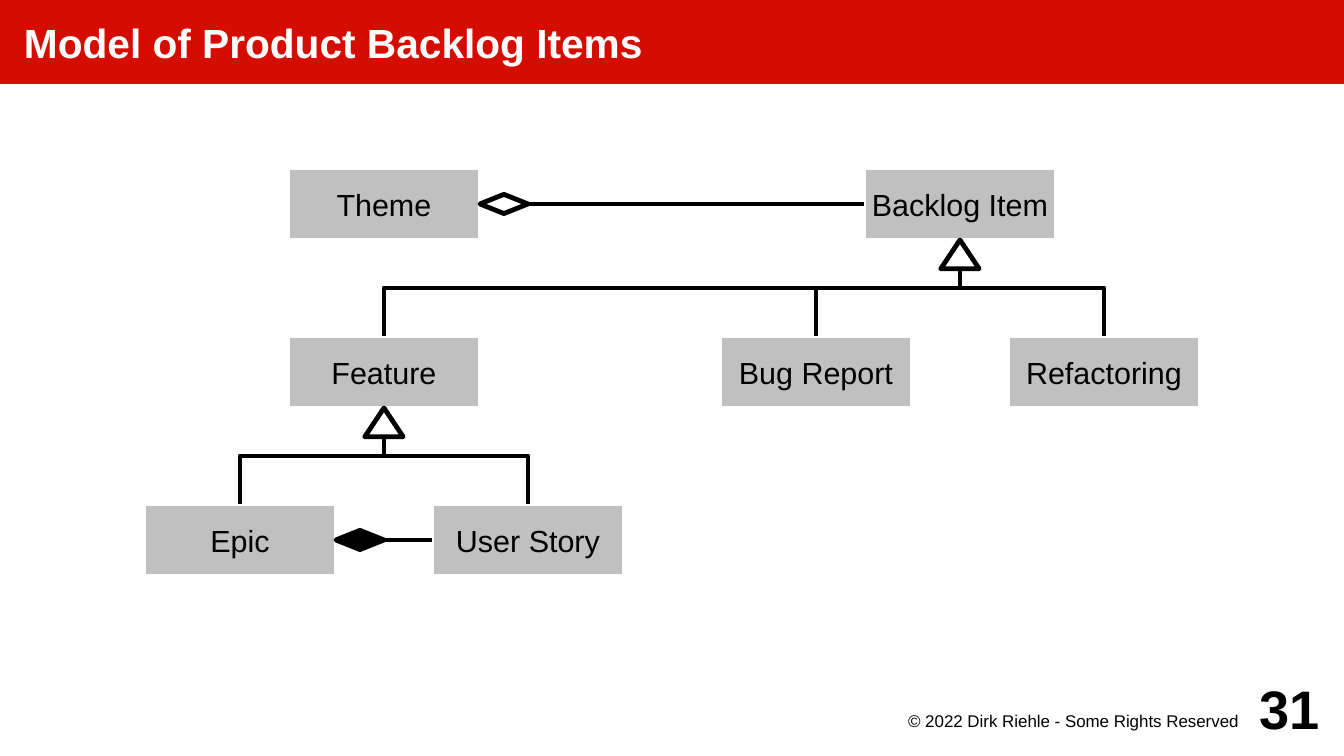
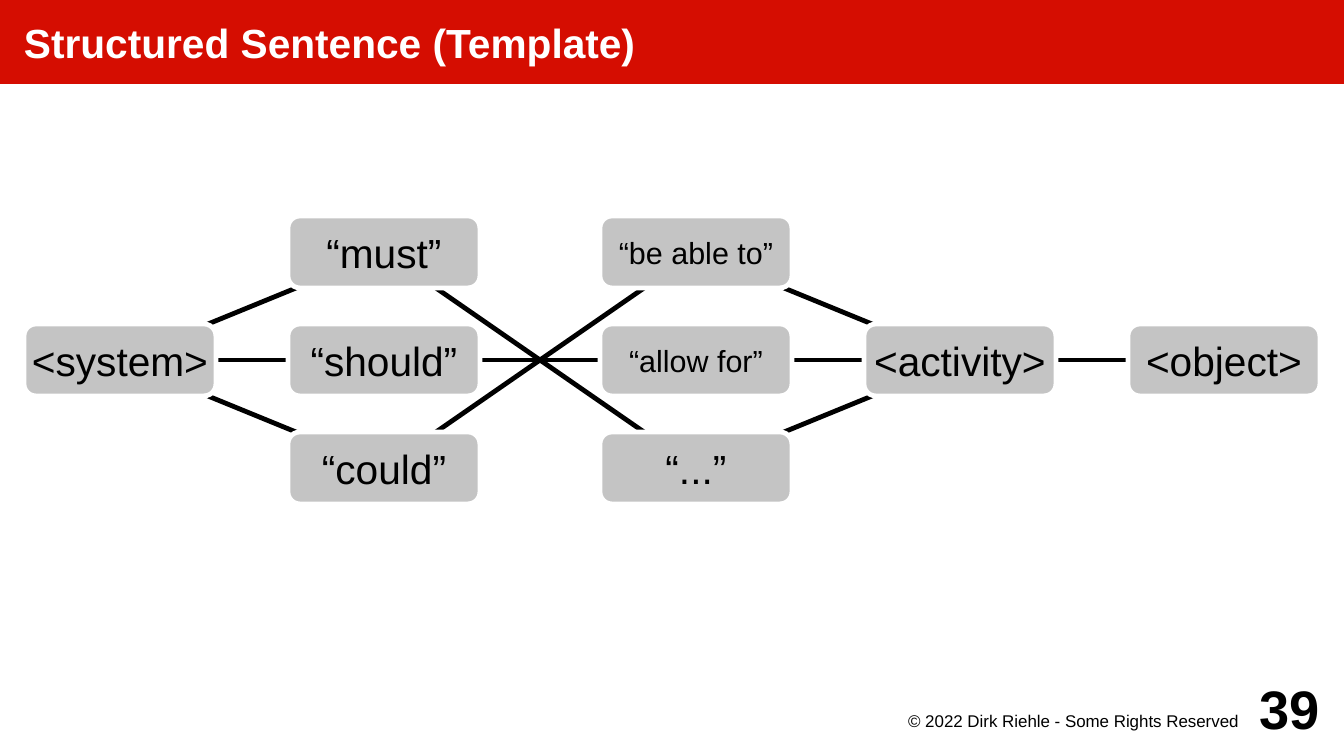
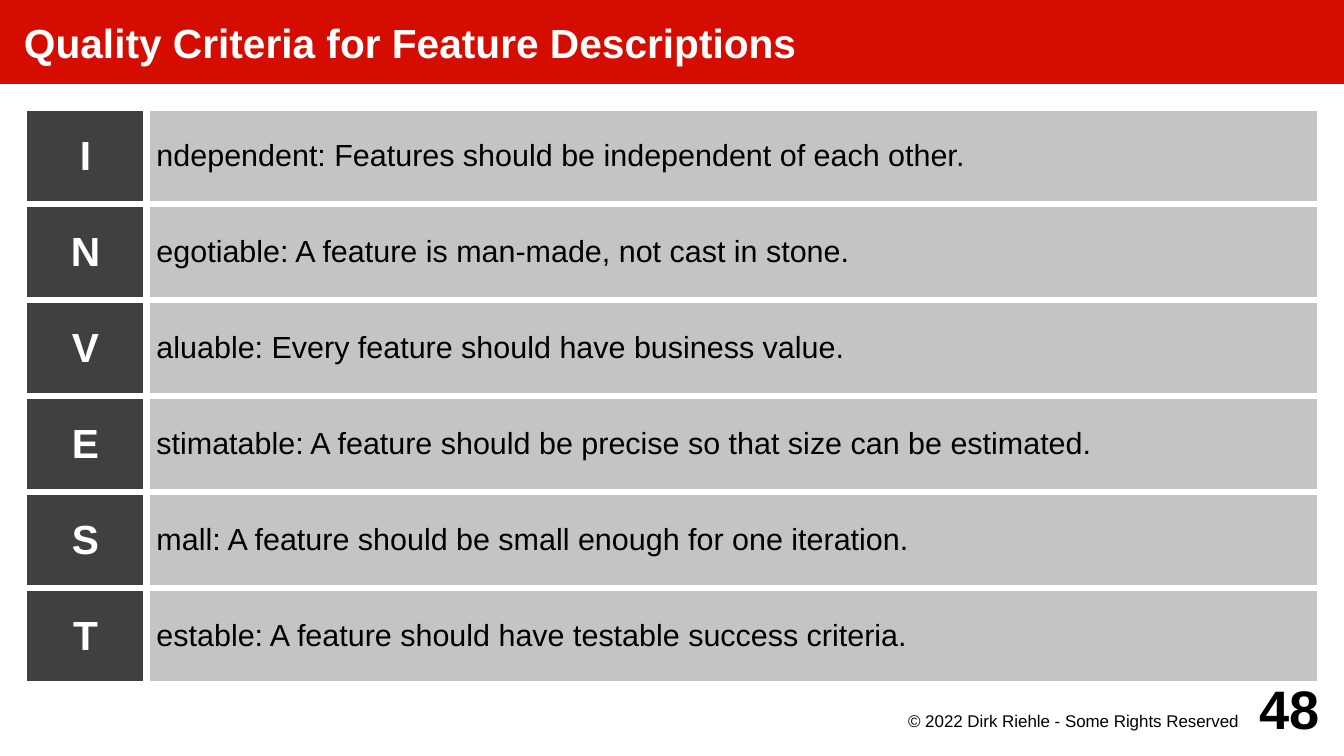
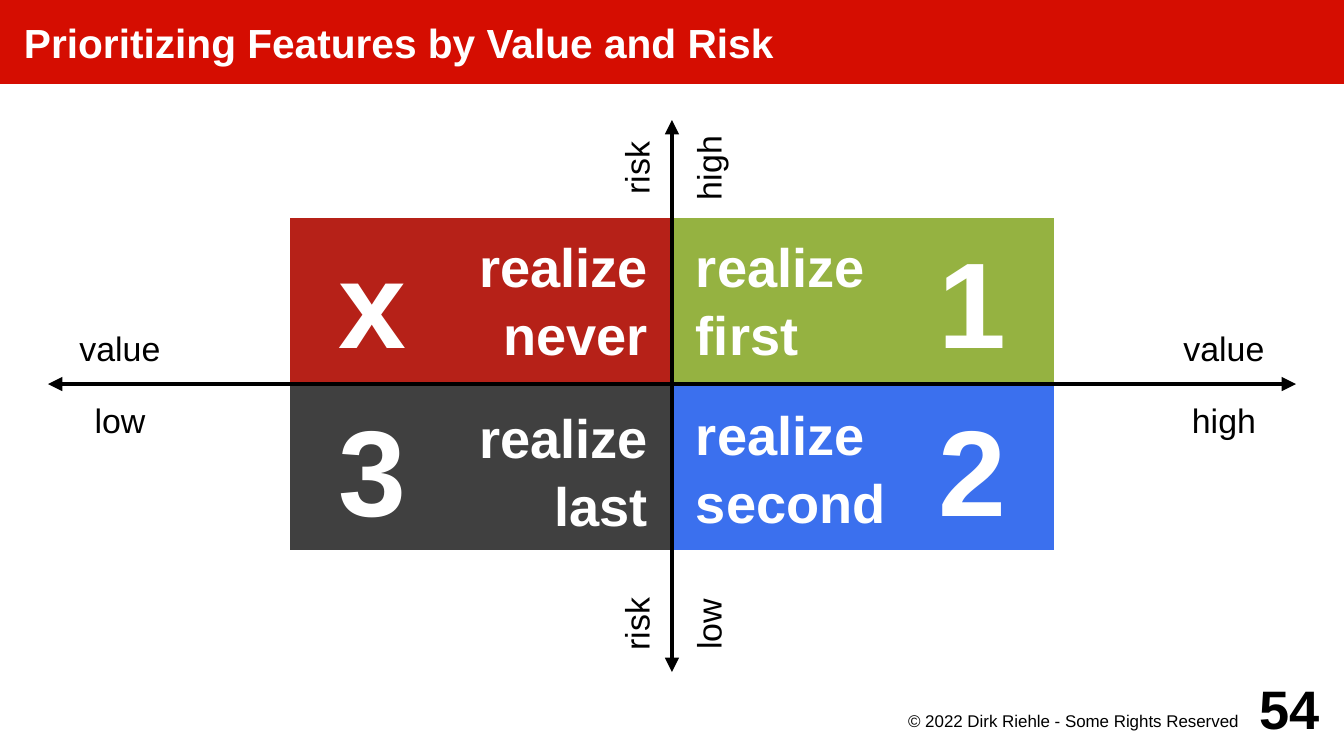
"""Build four lecture slides on product backlog items and feature descriptions."""
from dataclasses import dataclass

from lxml import etree
from pptx import Presentation
from pptx.dml.color import RGBColor
from pptx.enum import shapes, text
from pptx.oxml import ns
from pptx.util import Cm, Pt

SHAPE = shapes.MSO_SHAPE
CONNECTOR = shapes.MSO_CONNECTOR
LEFT, CENTER, RIGHT = text.PP_ALIGN.LEFT, text.PP_ALIGN.CENTER, text.PP_ALIGN.RIGHT
MIDDLE, TOP = text.MSO_ANCHOR.MIDDLE, text.MSO_ANCHOR.TOP


@dataclass(frozen=True)
class Theme:
    font: str = "Arial"
    band: str = "D50D01"
    white: str = "FFFFFF"
    black: str = "000000"
    model_box: str = "C0C0C0"
    gray: str = "C4C4C4"
    dark: str = "404040"
    red: str = "B62118"
    green: str = "95B241"
    blue: str = "3B70EE"
    footer_size: float = 10
    body_size: float = 18
    axis_size: float = 20
    title_size: float = 24
    quadrant_size: float = 32
    digit_size: float = 72
    line: float = 2.83
    cell_line: float = 4.54


THEME = Theme()
SLIDE_WIDTH, SLIDE_HEIGHT = 28, 15.75
BOX_WIDTH, BOX_HEIGHT = 4, 1.5
PADDING = (0.2, 0.2, 0.2, 0.2)
COPYRIGHT = "© 2022 Dirk Riehle - Some Rights Reserved"

MODEL_BOXES = {
    "Theme": (6, 3.5), "Backlog Item": (18, 3.5),
    "Feature": (6, 7), "Bug Report": (15, 7), "Refactoring": (21, 7),
    "Epic": (3, 10.5), "User Story": (9, 10.5),
}
SUBTYPES = {
    "Backlog Item": ["Feature", "Bug Report", "Refactoring"],
    "Feature": ["Epic", "User Story"],
}
AGGREGATIONS = [("Theme", "Backlog Item", THEME.white), ("Epic", "User Story", THEME.black)]

SENTENCE_COLUMNS = [0.5, 6, 12.5, 18, 23.5]
SENTENCE_ROWS = [4.5, 6.75, 9]
SENTENCE_BOXES = [
    (0, 1, "<system>", THEME.title_size),
    (1, 0, "“must”", THEME.title_size),
    (1, 1, "“should”", THEME.title_size),
    (1, 2, "“could”", THEME.title_size),
    (2, 0, "“be able to”", THEME.body_size),
    (2, 1, "“allow for”", THEME.body_size),
    (2, 2, "“...”", THEME.title_size),
    (3, 1, "<activity>", THEME.title_size),
    (4, 1, "<object>", THEME.title_size),
]
SENTENCE_LINES = [
    ((0, 1), (4, 1)), ((0, 1), (1, 0)), ((0, 1), (1, 2)), ((1, 0), (2, 2)),
    ((1, 2), (2, 0)), ((2, 0), (3, 1)), ((2, 2), (3, 1)),
]

CRITERIA = [
    ("I", "ndependent: Features should be independent of each other."),
    ("N", "egotiable: A feature is man-made, not cast in stone."),
    ("V", "aluable: Every feature should have business value."),
    ("E", "stimatable: A feature should be precise so that size can be estimated."),
    ("S", "mall: A feature should be small enough for one iteration."),
    ("T", "estable: A feature should have testable success criteria."),
]

CENTER_X, CENTER_Y = 14, 8
QUADRANT_WIDTH, QUADRANT_HEIGHT = 8, 3.5
QUADRANTS = [
    (1, 1, THEME.blue, ["realize", "second"], "2"),
    (1, 0, THEME.green, ["realize", "first"], "1"),
    (0, 0, THEME.red, ["realize", "never"], "x"),
    (0, 1, THEME.dark, [], "3"),
]
LAST_LABEL = (["realize", "last"], (9, 8.13, 5, 3.37))
AXES = [((CENTER_X, 14), (CENTER_X, 2.5)), ((1, CENTER_Y), (27, CENTER_Y))]
AXIS_LABELS = [
    ("value", (1, 6.5, 3, 1.5), 0), ("low", (1, 8, 3, 1.5), 0),
    ("value", (24, 6.5, 3, 1.5), 0), ("high", (24, 8, 3, 1.5), 0),
    ("risk", (12.25, 2.75, 2, 1.5), 270), ("high", (13.75, 2.75, 2, 1.5), 270),
    ("risk", (12.25, 12.25, 2, 1.5), 270), ("low", (13.75, 12.25, 2, 1.5), 270),
]


def lengths(values):
    return [Cm(value) for value in values]


def write(frame, lines, size, color=THEME.black, bold=False, align=CENTER,
          anchor=MIDDLE, insets=PADDING, wrap=True):
    frame.auto_size = text.MSO_AUTO_SIZE.NONE
    frame.word_wrap = wrap
    frame.vertical_anchor = anchor
    frame.margin_left, frame.margin_top, frame.margin_right, frame.margin_bottom = lengths(insets)
    write_lines(frame, lines, size, color, bold, align)


def write_lines(frame, lines, size, color, bold, align):
    for index, line in enumerate(lines):
        paragraph = frame.add_paragraph() if index else frame.paragraphs[0]
        paragraph.alignment = align
        if index:
            paragraph.space_before = Pt(1.5)
        run = paragraph.add_run()
        run.text = line
        font = run.font
        font.name, font.size, font.bold = THEME.font, Pt(size), bold
        font.color.rgb = RGBColor.from_string(color)


def fill_with(target, color):
    target.fill.solid()
    target.fill.fore_color.rgb = RGBColor.from_string(color)


def stroke(target, color):
    target.line.color.rgb = RGBColor.from_string(color)
    target.line.width = Pt(THEME.line)


def add_box(slide, kind, place, fill, line=THEME.white):
    shape = slide.shapes.add_shape(kind, *lengths(place))
    shape.shadow.inherit = False
    fill_with(shape, fill)
    stroke(shape, line)
    return shape


def add_text(slide, place, lines, size, **style):
    box = slide.shapes.add_textbox(*lengths(place))
    write(box.text_frame, lines, size, **style)
    return box


def add_line(slide, start, end, kind=CONNECTOR.STRAIGHT, arrows=False):
    connector = slide.shapes.add_connector(kind, *lengths(start + end))
    stroke(connector, THEME.black)
    properties = connector.element.spPr
    if arrows:
        outline = properties.find(ns.qn("a:ln"))
        for tag in ("a:headEnd", "a:tailEnd"):
            etree.SubElement(outline, ns.qn(tag), type="triangle")
    etree.SubElement(properties, ns.qn("a:effectLst"))
    return connector


def add_subtype_link(slide, parent, child):
    """Route an elbow from the bottom of the parent to the top of the child."""
    connector = add_line(slide, (0, 0), (1, 1), CONNECTOR.ELBOW)
    connector.begin_connect(parent, 2)
    connector.end_connect(child, 0)
    start_x, end_x = (shape.left + shape.width // 2 for shape in (parent, child))
    start_y, end_y = parent.top + parent.height, child.top
    drop, spread = end_y - start_y, abs(end_x - start_x)
    connector.left = (start_x + end_x - drop) // 2
    connector.top = (start_y + end_y - spread) // 2
    connector.width, connector.height = drop, spread
    to_right = end_x > start_x
    transform = connector.element.spPr.find(ns.qn("a:xfrm"))
    transform.set("rot", "16200000" if to_right else "5400000")
    transform.set("flipH", "1" if to_right else "0")
    transform.set("flipV", "0")


def add_slide(presentation, title, number):
    slide = presentation.slides.add_slide(presentation.slide_layouts[5])
    band = slide.shapes.title
    band.left, band.top, band.width, band.height = lengths((0, 0, SLIDE_WIDTH, 1.75))
    fill_with(band, THEME.band)
    write(band.text_frame, [title], THEME.title_size, THEME.white, True, LEFT,
          insets=(0.5, 0, 0, 0))
    add_text(slide, (18, 14.75, 8, 0.75), [COPYRIGHT], THEME.footer_size,
             align=RIGHT, anchor=TOP, insets=(0, 0.05, 0.2, 0))
    add_text(slide, (25.5, 14, 2, 1.5), [str(number)], THEME.quadrant_size,
             bold=True, align=RIGHT, insets=(0, 0, 0, 0))
    return slide


def draw_model(slide):
    boxes = {}
    for name, corner in MODEL_BOXES.items():
        boxes[name] = add_box(slide, SHAPE.RECTANGLE, corner + (BOX_WIDTH, BOX_HEIGHT),
                              THEME.model_box)
        write(boxes[name].text_frame, [name], THEME.body_size, wrap=False)
    for parent, children in SUBTYPES.items():
        for child in children:
            add_subtype_link(slide, boxes[parent], boxes[child])
        left, top = MODEL_BOXES[parent]
        add_box(slide, SHAPE.ISOSCELES_TRIANGLE,
                (left + BOX_WIDTH / 2 - 0.4, top + BOX_HEIGHT, 0.8, 0.6),
                THEME.white, THEME.black)
    for whole, part, fill in AGGREGATIONS:
        left, top = MODEL_BOXES[whole]
        diamond = add_box(slide, SHAPE.DIAMOND,
                          (left + BOX_WIDTH, top + BOX_HEIGHT / 2 - 0.2, 1, 0.4),
                          fill, THEME.black)
        connector = add_line(slide, (0, 0), (1, 1))
        connector.begin_connect(diamond, 3)
        connector.end_connect(boxes[part], 1)


def sentence_center(cell):
    column, row = cell
    return (SENTENCE_COLUMNS[column] + BOX_WIDTH / 2, SENTENCE_ROWS[row] + BOX_HEIGHT / 2)


def draw_sentence(slide):
    for start, end in SENTENCE_LINES:
        add_line(slide, sentence_center(start), sentence_center(end))
    for column, row, label, size in SENTENCE_BOXES:
        place = (SENTENCE_COLUMNS[column], SENTENCE_ROWS[row], BOX_WIDTH, BOX_HEIGHT)
        box = add_box(slide, SHAPE.ROUNDED_RECTANGLE, place, THEME.gray)
        write(box.text_frame, [label], size, wrap=False)


def format_cell(cell, content, fill, size, color, bold, align):
    fill_with(cell, fill)
    cell.vertical_anchor = MIDDLE
    cell.margin_left = cell.margin_right = Cm(0.2)
    cell.margin_top = cell.margin_bottom = Cm(0.13)
    write_lines(cell.text_frame, [content], size, color, bold, align)
    properties = cell._tc.get_or_add_tcPr()
    for index, side in enumerate(("a:lnL", "a:lnR", "a:lnT", "a:lnB")):
        border = etree.Element(ns.qn(side), w=str(int(Pt(THEME.cell_line))))
        solid = etree.SubElement(border, ns.qn("a:solidFill"))
        etree.SubElement(solid, ns.qn("a:srgbClr"), val=THEME.white)
        properties.insert(index, border)


def draw_criteria(slide):
    frame = slide.shapes.add_table(len(CRITERIA), 2, *lengths((0.5, 2.25, 27, 12)))
    table = frame.table
    table.first_row = table.horz_banding = False
    for column, width in zip(table.columns, (2.56, 24.44)):
        column.width = Cm(width)
    for index, (letter, rest) in enumerate(CRITERIA):
        format_cell(table.cell(index, 0), letter, THEME.dark, THEME.title_size,
                    THEME.white, True, CENTER)
        format_cell(table.cell(index, 1), rest, THEME.gray, THEME.body_size,
                    THEME.black, False, LEFT)


def draw_priorities(slide):
    label_style = dict(color=THEME.white, bold=True, insets=(0.5, 0.2, 0.5, 0.2), wrap=False)
    for column, row, fill, lines, digit in QUADRANTS:
        left = CENTER_X + (column - 1) * QUADRANT_WIDTH
        top = CENTER_Y + (row - 1) * QUADRANT_HEIGHT
        box = add_box(slide, SHAPE.RECTANGLE, (left, top, QUADRANT_WIDTH, QUADRANT_HEIGHT), fill)
        write(box.text_frame, lines, THEME.quadrant_size,
              align=LEFT if column else RIGHT, **label_style)
        digit_left = left + column * (QUADRANT_WIDTH - QUADRANT_HEIGHT)
        add_text(slide, (digit_left, top, QUADRANT_HEIGHT, QUADRANT_HEIGHT), [digit],
                 THEME.digit_size, color=THEME.white, bold=True, insets=(0, 0, 0, 0))
    lines, place = LAST_LABEL
    add_text(slide, place, lines, THEME.quadrant_size, align=RIGHT, **label_style)
    for start, end in AXES:
        add_line(slide, start, end, arrows=True)
    for label, place, rotation in AXIS_LABELS:
        add_text(slide, place, [label], THEME.axis_size).rotation = rotation


SLIDES = [
    ("Model of Product Backlog Items", 31, draw_model),
    ("Structured Sentence (Template)", 39, draw_sentence),
    ("Quality Criteria for Feature Descriptions", 48, draw_criteria),
    ("Prioritizing Features by Value and Risk", 54, draw_priorities),
]


def main():
    presentation = Presentation()
    presentation.slide_width, presentation.slide_height = Cm(SLIDE_WIDTH), Cm(SLIDE_HEIGHT)
    for title, number, draw in SLIDES:
        draw(add_slide(presentation, title, number))
    presentation.save("out.pptx")


if __name__ == "__main__":
    main()
